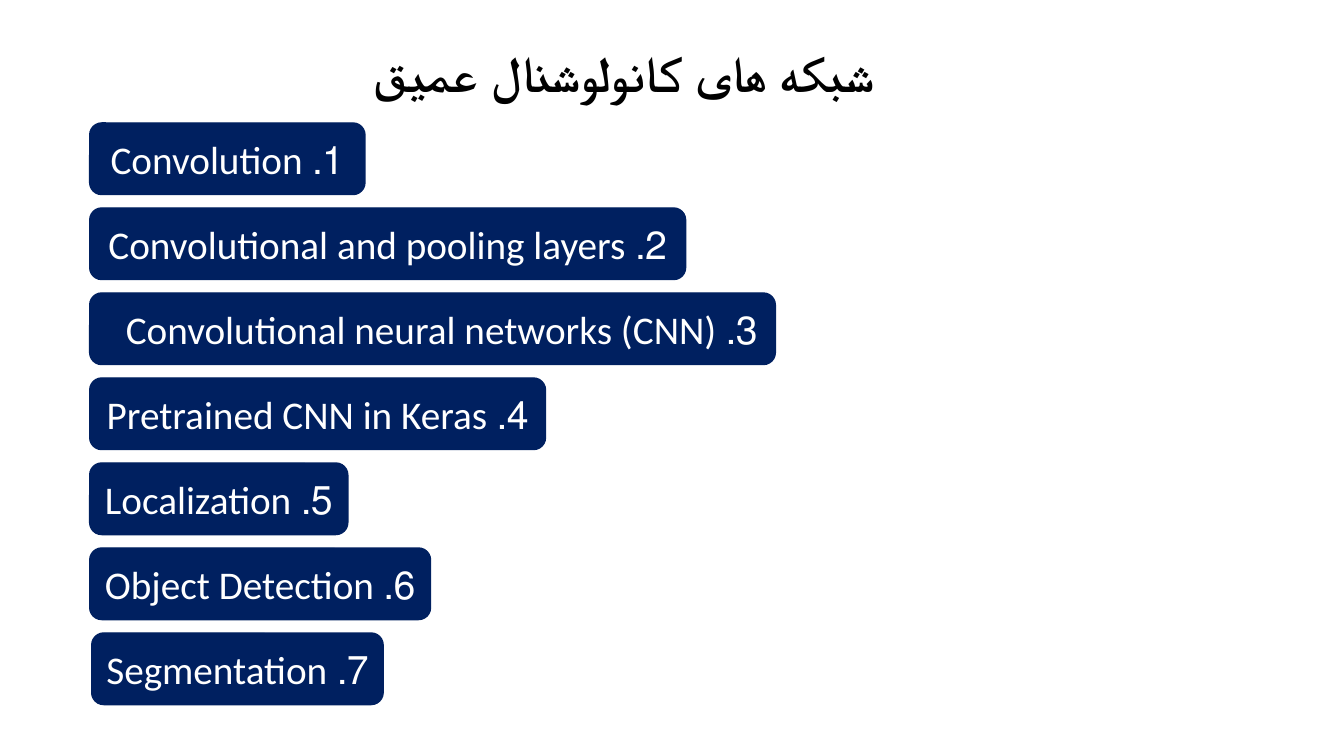
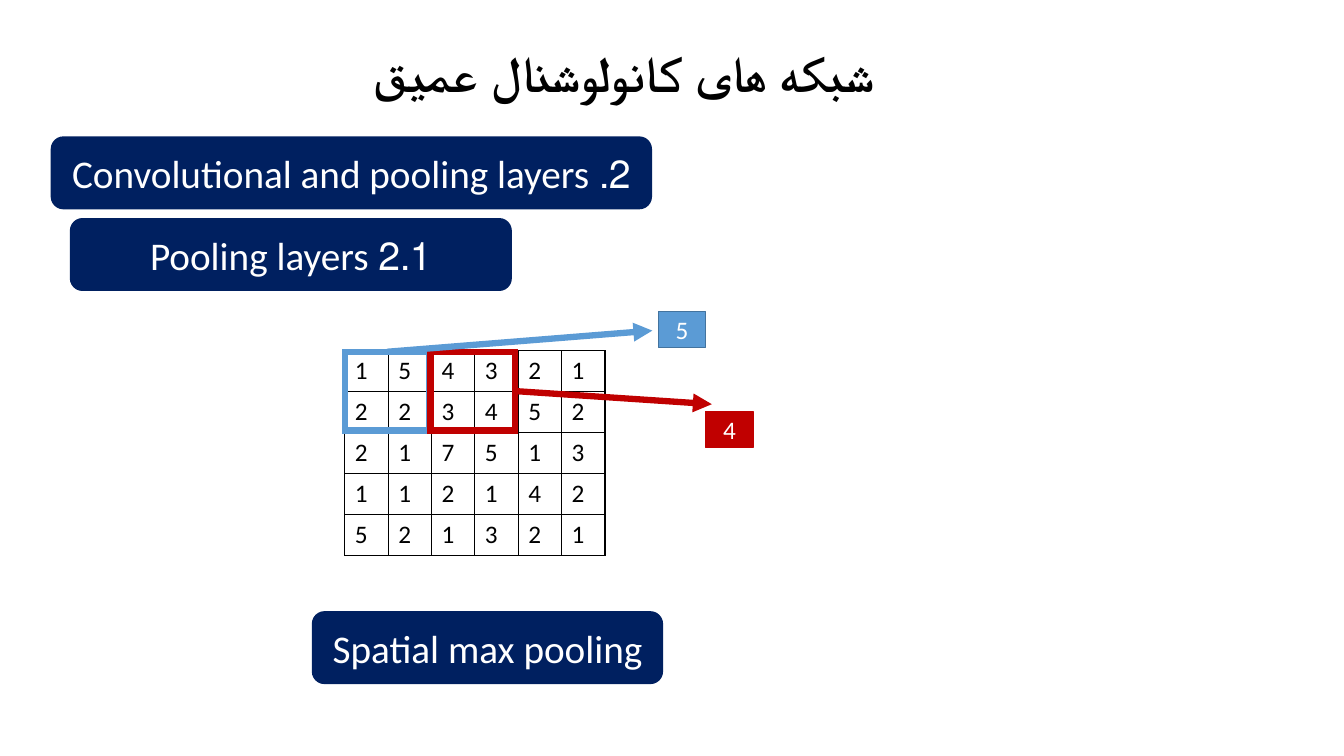
from lxml import etree
from pptx import Presentation
from pptx.dml.color import RGBColor
from pptx.enum.shapes import MSO_CONNECTOR, MSO_SHAPE
from pptx.enum.text import MSO_ANCHOR, MSO_AUTO_SIZE, PP_ALIGN
from pptx.oxml.ns import qn
from pptx.util import Inches, Pt

RECTANGLE = MSO_SHAPE.RECTANGLE
ROUNDED = MSO_SHAPE.ROUNDED_RECTANGLE
STRAIGHT = MSO_CONNECTOR.STRAIGHT
MIDDLE = MSO_ANCHOR.MIDDLE
GROW = MSO_AUTO_SIZE.SHAPE_TO_FIT_TEXT
LEFT, CENTER = PP_ALIGN.LEFT, PP_ALIGN.CENTER
TOP_SITE, RIGHT_SITE = 0, 3

# Shared look
COLORS = {
    "navy": "002060",
    "blue": "5B9BD5",
    "blue_edge": "43739E",
    "red": "C00000",
    "black": "000000",
    "white": "FFFFFF",
}
TITLE_FONT = {"name": "Karla", "size": Pt(36), "bold": True}
LABEL_FONT = {"name": "Calibri", "size": Pt(28)}
VALUE_FONT = {"name": "Calibri", "size": Pt(18)}

TITLE = "شبکه های کانولوشنال عمیق"
LABEL_HEIGHT = 0.71
WINDOW_LINE = 4.5

# Agenda entries: text, left, width, left inset
AGENDA = [
    ("1. Convolution", 0.89, 2.73, 0.1),
    ("2. Convolutional and pooling layers", 0.89, 5.91, 0.1),
    ("3. Convolutional neural networks (CNN)", 0.89, 6.8, 0.28),
    ("4. Pretrained CNN in Keras", 0.89, 4.52, 0.1),
    ("5. Localization", 0.89, 2.56, 0.1),
    ("6. Object Detection", 0.89, 3.38, 0.1),
    ("7. Segmentation", 0.91, 2.89, 0.1),
]
AGENDA_TOP, AGENDA_BOTTOM = 1.22, 6.28

# Feature map and the two pooling windows on it
FEATURE_MAP = ["154321", "223452", "217513", "112142", "521321"]
MAP_LEFT, MAP_TOP, MAP_WIDTH, MAP_HEIGHT = 3.42, 3.48, 2.58, 2.03
POOLING = [
    {"color": "blue", "edge": "blue_edge", "left": 3.42, "site": TOP_SITE,
     "tip": (6.47, 3.28), "maximum": "5", "result_at": (6.53, 3.09)},
    {"color": "red", "edge": "red", "left": 4.27, "site": RIGHT_SITE,
     "tip": (7.06, 4.01), "maximum": "4", "result_at": (7, 4.08)},
]


def rgb(color):
    return RGBColor.from_string(COLORS[color])


def write(frame, text, style, color, align=CENTER, rtl=False):
    paragraph = frame.paragraphs[0]
    paragraph.alignment = align
    if rtl:
        paragraph._p.get_or_add_pPr().set("rtl", "1")
    run = paragraph.add_run()
    run.text = text
    for attribute, value in style.items():
        setattr(run.font, attribute, value)
    run.font.color.rgb = rgb(color)
    return run


def add_title(slide):
    title = slide.shapes.add_textbox(Inches(1.66), Inches(0.37), Inches(9.07), Inches(0.71))
    frame = title.text_frame
    frame.word_wrap = True
    frame.auto_size = GROW
    run = write(frame, TITLE, TITLE_FONT, "black", rtl=True)
    script_font = etree.SubElement(run._r.get_or_add_rPr(), qn("a:cs"))
    script_font.set("typeface", TITLE_FONT["name"])


def add_box(slide, kind, left, top, width, height, fill, edge, weight=1):
    box = slide.shapes.add_shape(kind, Inches(left), Inches(top), Inches(width), Inches(height))
    box.shadow.inherit = False
    if fill:
        box.fill.solid()
        box.fill.fore_color.rgb = rgb(fill)
    else:
        box.fill.background()
    box.line.color.rgb = rgb(edge)
    box.line.width = Pt(weight)
    box.text_frame.word_wrap = True
    box.text_frame.vertical_anchor = MIDDLE
    return box


def add_label(slide, text, left, top, width, inset=0.1):
    label = add_box(slide, ROUNDED, left, top, width, LABEL_HEIGHT, "navy", "navy")
    label.text_frame.margin_left = Inches(inset)
    write(label.text_frame, text, LABEL_FONT, "white", rtl=True)


def add_cell_borders(cell):
    properties = cell._tc.get_or_add_tcPr()
    for side in ("lnL", "lnR", "lnT", "lnB"):
        border = etree.SubElement(properties, qn(f"a:{side}"), w=str(Pt(1)))
        fill = etree.SubElement(border, qn("a:solidFill"))
        etree.SubElement(fill, qn("a:srgbClr"), val=COLORS["black"])


def add_feature_map(slide):
    rows, columns = len(FEATURE_MAP), len(FEATURE_MAP[0])
    table = slide.shapes.add_table(rows, columns, Inches(MAP_LEFT), Inches(MAP_TOP),
                                   Inches(MAP_WIDTH), Inches(MAP_HEIGHT)).table
    table.first_row = table.horz_banding = False
    for r, values in enumerate(FEATURE_MAP):
        for c, value in enumerate(values):
            cell = table.cell(r, c)
            add_cell_borders(cell)
            cell.fill.background()
            write(cell.text_frame, value, VALUE_FONT, "black", align=LEFT)


def add_window(slide, color, left):
    window = add_box(slide, RECTANGLE, left, 3.49, 0.84, 0.78, None, color, WINDOW_LINE)
    etree.SubElement(window.line._get_or_add_ln(), qn("a:miter"), lim="800000")
    return window


def add_arrow(slide, window, site, tip, color):
    x, y = (Inches(value) for value in tip)
    arrow = slide.shapes.add_connector(STRAIGHT, x, y, x, y)
    arrow.begin_connect(window, site)
    arrow.line.color.rgb = rgb(color)
    arrow.line.width = Pt(WINDOW_LINE)
    etree.SubElement(arrow.line._get_or_add_ln(), qn("a:tailEnd"), type="triangle")
    etree.SubElement(arrow._element.spPr, qn("a:effectLst"))


def build_agenda(slide):
    add_title(slide)
    pitch = (AGENDA_BOTTOM - AGENDA_TOP) / (len(AGENDA) - 1)
    for i, (text, left, width, inset) in enumerate(AGENDA):
        add_label(slide, text, left, AGENDA_TOP + i * pitch, width, inset)


def build_pooling(slide):
    add_title(slide)
    add_label(slide, AGENDA[1][0], 0.51, 1.36, 5.95)
    add_label(slide, "2.1 Pooling layers", 0.7, 2.17, 4.37)
    add_feature_map(slide)

    # Windows, then arrows, then the maximum of each window
    windows = [add_window(slide, pool["color"], pool["left"]) for pool in POOLING]
    for window, pool in zip(windows, POOLING):
        add_arrow(slide, window, pool["site"], pool["tip"], pool["color"])
    for pool in POOLING:
        result = add_box(slide, RECTANGLE, *pool["result_at"], 0.47, 0.36,
                         pool["color"], pool["edge"])
        write(result.text_frame, pool["maximum"], VALUE_FONT, "white")

    add_label(slide, "Spatial max pooling", 3.1, 6.07, 3.47)


def main():
    deck = Presentation()
    deck.slide_width, deck.slide_height = Inches(13.33), Inches(7.5)
    blank = deck.slide_layouts[6]
    for build in (build_agenda, build_pooling):
        build(deck.slides.add_slide(blank))
    deck.save("out.pptx")


if __name__ == "__main__":
    main()
